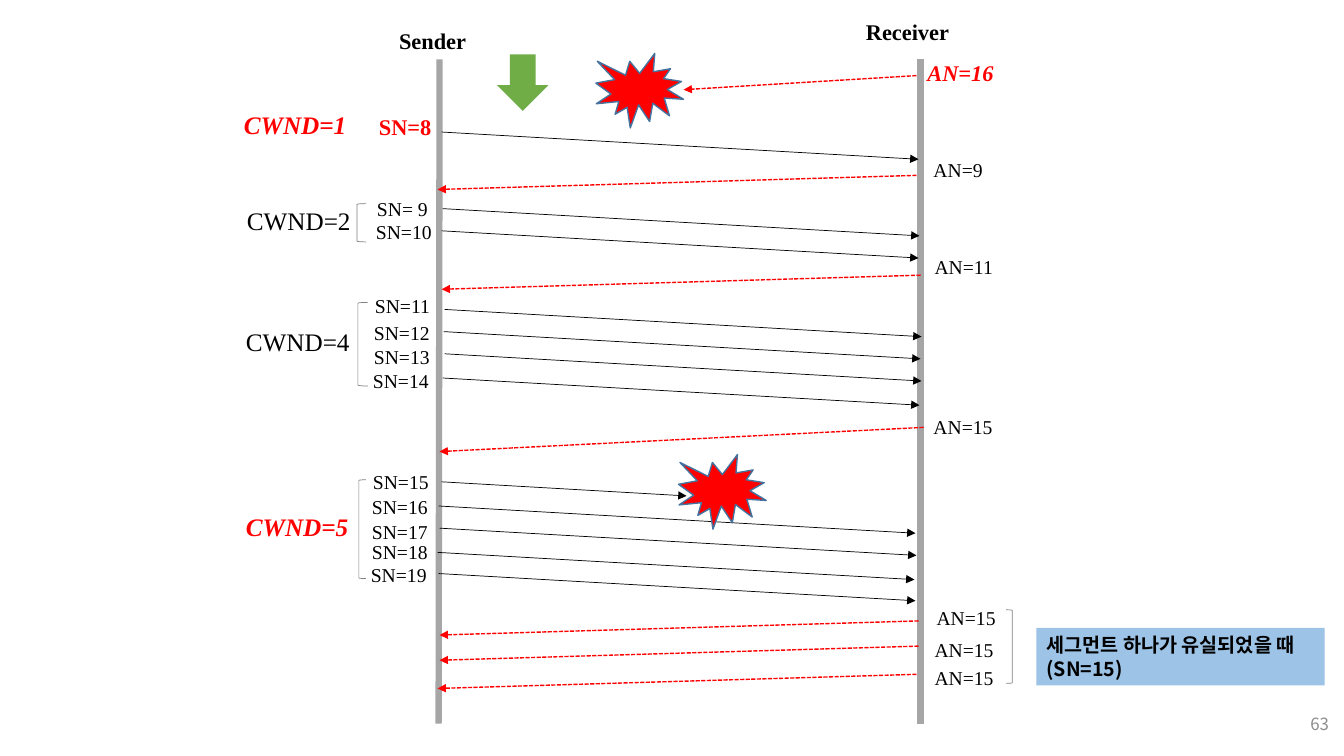
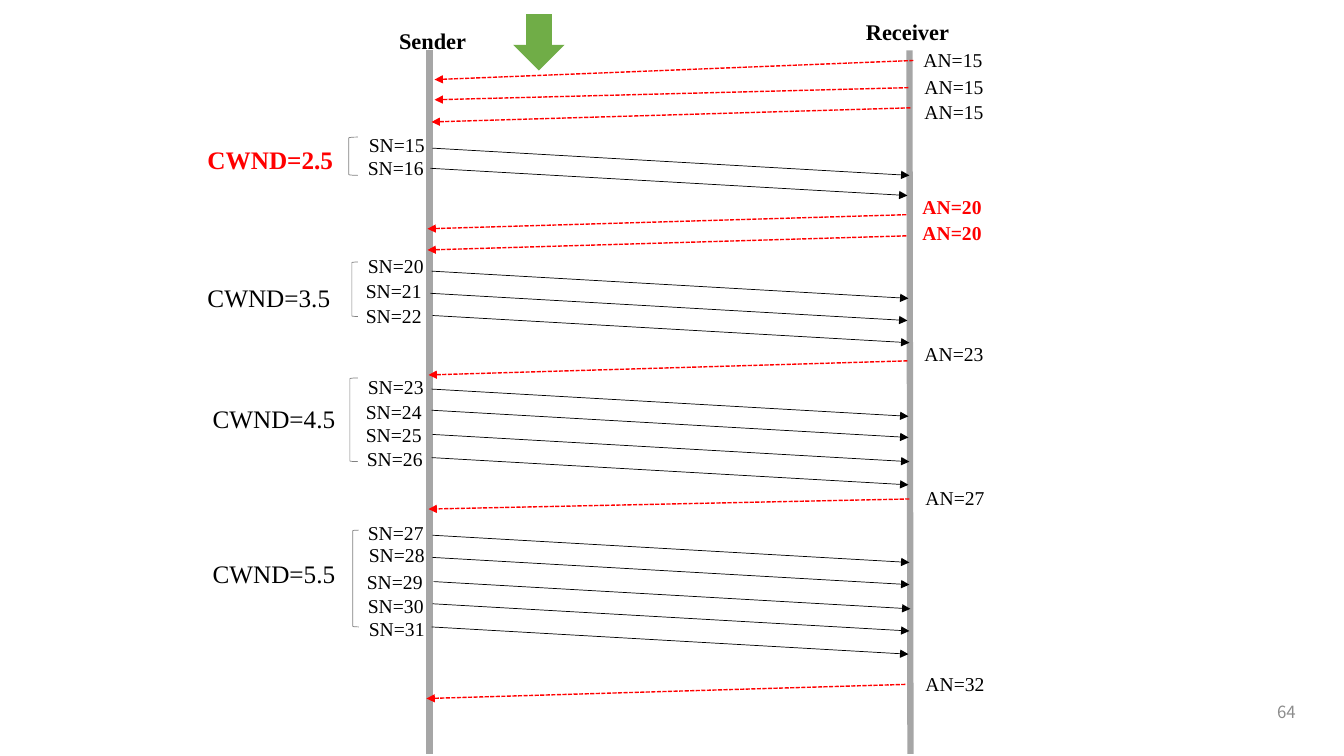
from lxml.etree import SubElement
from pptx import Presentation
from pptx.dml.color import RGBColor
from pptx.enum.dml import MSO_LINE_DASH_STYLE as DASH
from pptx.enum.shapes import MSO_CONNECTOR as CONN, MSO_SHAPE as SHAPE
from pptx.enum.text import MSO_ANCHOR as ANCHOR, PP_ALIGN as ALIGN
from pptx.oxml.ns import qn
from pptx.util import Emu, Pt

PX = 9144
COLORS = {
    "black": "000000", "red": "FF0000", "bar": "A6A6A6", "bracket": "808080",
    "green": "70AD47", "seal_edge": "43739E", "note": "9DC3E6", "number": "8C8C8C",
}
SERIF, SANS = "Times New Roman", "Noto Sans CJK KR"
STYLES = {
    "label": ("black", {"name": SERIF, "size": Pt(14)}),
    "label_red": ("red", {"name": SERIF, "size": Pt(14), "bold": True}),
    "title": ("black", {"name": SERIF, "size": Pt(16), "bold": True}),
    "send_red": ("red", {"name": SERIF, "size": Pt(16), "bold": True}),
    "ack_red": ("red", {"name": SERIF, "size": Pt(16), "bold": True, "italic": True}),
    "window": ("black", {"name": SERIF, "size": Pt(18)}),
    "window_red": ("red", {"name": SERIF, "size": Pt(18), "bold": True}),
    "window_alert": ("red", {"name": SERIF, "size": Pt(18), "bold": True, "italic": True}),
    "note": ("black", {"name": SANS, "size": Pt(14), "bold": True}),
    "number": ("number", {"name": SANS, "size": Pt(12)}),
}


def px(*values):
    return [Emu(v * PX) for v in values]


def rgb(name):
    return RGBColor.from_string(COLORS[name])


class Deck:
    def __init__(self):
        self.prs = Presentation()
        self.prs.slide_width, self.prs.slide_height = px(1333, 750)
        self.slide = None

    def new_slide(self, number, x, y, bars):
        self.slide = self.prs.slides.add_slide(self.prs.slide_layouts[6])
        tf = self.text(str(number), x, y, 300, 40, "number")
        tf.word_wrap = True
        tf.vertical_anchor = ANCHOR.MIDDLE
        tf.paragraphs[0].alignment = ALIGN.RIGHT
        for start, end in bars:
            self.line(start, end, "bar", 4.5)

    def titles(self):
        self.text("Sender", 386, 22, 93, 37, "title")
        self.text("Receiver", 849, 13, 109, 37, "title")

    def fill_text(self, tf, text, style):
        color, values = STYLES[style]
        tf.word_wrap = False
        for i, row in enumerate(text.split("\n")):
            p = tf.add_paragraph() if i else tf.paragraphs[0]
            p.alignment = ALIGN.LEFT
            r = p.add_run()
            r.text = row
            for name, value in values.items():
                setattr(r.font, name, value)
            r.font.color.rgb = rgb(color)
            SubElement(r.font._element, qn("a:ea"), typeface=values["name"])

    def text(self, text, x, y, w, h=34, style="label"):
        tf = self.slide.shapes.add_textbox(*px(x, y, w, h)).text_frame
        self.fill_text(tf, text, style)
        return tf

    def line(self, start, end, color, width, dash=None, arrow=False):
        sp = self.slide.shapes.add_connector(CONN.STRAIGHT, *px(*start, *end))
        sp.line.color.rgb = rgb(color)
        sp.line.width = Pt(width)
        if dash:
            sp.line.dash_style = dash
        if arrow:
            SubElement(sp.line._get_or_add_ln(), qn("a:tailEnd"), type="triangle")
        SubElement(sp._element.spPr, qn("a:effectLst"))

    def shape(self, kind, x, y, w, h, fill=None, edge=None, width=0.5):
        sp = self.slide.shapes.add_shape(kind, *px(x, y, w, h))
        sp.shadow.inherit = False
        if fill:
            sp.fill.solid()
            sp.fill.fore_color.rgb = rgb(fill)
        else:
            sp.fill.background()
        if edge:
            sp.line.color.rgb = rgb(edge)
            sp.line.width = Pt(width)
        else:
            sp.line.fill.background()
        return sp

    def send(self, text, x, y, x1, y1, end=None, w=76, h=34, style="label"):
        self.line((x1, y1), end or (x1 + 473, y1 + 27), "black", 0.5, arrow=True)
        self.text(text, x, y, w, h, style)

    def ack(self, text, x, y, x1, y1, end=None, w=79, h=34, style="label"):
        self.line((x1, y1), end or (x1 - 475, y1 + 14), "red", 1, DASH.SQUARE_DOT, True)
        self.text(text, x, y, w, h, style)

    def window(self, size, x, y, bracket=None, style="window"):
        self.text(f"CWND={size}", x, y, 150, 40, style)
        if bracket:
            self.bracket(SHAPE.LEFT_BRACKET, *bracket)

    def bracket(self, kind, x, y, w, h):
        self.shape(kind, x, y, w, h, edge="bracket")

    def loss(self, x, y):
        self.shape(SHAPE.EXPLOSION1, x, y, 87, 74, "red", "seal_edge", 1)

    def time_arrow(self, x, y):
        self.shape(SHAPE.DOWN_ARROW, x, y, 51, 56, "green")

    def note(self, text, x, y, w, h):
        tf = self.shape(SHAPE.RECTANGLE, x, y, w, h, "note").text_frame
        tf.vertical_anchor = ANCHOR.TOP
        self.fill_text(tf, text, "note")


def loss_slide(d):
    d.new_slide(63, 1028, 698, [((436, 59), (435, 718)), ((913, 59), (913, 718))])
    d.titles()
    d.time_arrow(493, 54)

    d.window(1, 232, 104, style="window_alert")
    d.window(2, 235, 199, (354, 202, 9, 38))
    d.window(4, 234, 319, (355, 300, 10, 83))
    d.window(5, 234, 502, (356, 476, 7, 98), "window_alert")

    d.send("SN=8", 366, 107, 438, 131, w=80, h=37, style="send_red")
    d.send("SN= 9", 364, 190, 439, 207)
    d.send("SN=15", 360, 461, 438, 478, end=(681, 492))
    for n, *place in [
        (10, 363, 213, 438, 229),
        (11, 362, 287, 441, 307),
        (12, 361, 313, 440, 329),
        (13, 361, 337, 441, 351),
        (14, 360, 361, 439, 375),
        (16, 359, 486, 435, 502),
        (17, 359, 511, 436, 524),
        (18, 359, 531, 434, 548),
        (19, 358, 554, 435, 569),
    ]:
        d.send(f"SN={n}", *place)

    d.ack("AN=16", 910, 54, 909, 75, end=(678, 89), w=95, h=37, style="ack_red")
    d.ack("AN=9", 916, 152, 909, 174)
    d.ack("AN=15", 916, 407, 916, 424, end=(436, 448))
    for n, *place in [
        (11, 917, 248, 913, 273),
        (15, 919, 596, 911, 616),
        (15, 917, 628, 911, 641),
        (15, 917, 656, 909, 669),
    ]:
        d.ack(f"AN={n}", *place)

    d.loss(591, 53)
    d.loss(673, 451)
    d.bracket(SHAPE.RIGHT_BRACKET, 998, 605, 6, 73)
    d.note("세그먼트 하나가 유실되었을 때\n(SN=15)", 1028, 623, 286, 57)


def recovery_slide(d):
    d.new_slide(64, 995, 686, [((426, 50), (426, 748)), ((902, 50), (903, 748))])
    d.titles()
    d.time_arrow(509, 14)

    d.window(2.5, 196, 138, (346, 136, 9, 38), "window_red")
    d.window(3.5, 196, 275, (349, 260, 6, 54))
    d.window(4.5, 201, 395, (347, 375, 8, 83))
    d.window(5.5, 201, 549, (350, 526, 6, 96))

    for n, *place in [
        (15, 356, 127, 429, 147),
        (16, 355, 150, 427, 167),
        (20, 355, 247, 428, 269),
        (21, 353, 272, 427, 291),
        (22, 353, 297, 429, 313),
        (23, 355, 367, 428, 386),
        (24, 353, 392, 428, 407),
        (25, 353, 415, 429, 431),
        (26, 354, 438, 428, 454),
        (27, 355, 512, 429, 531),
        (28, 356, 534, 429, 553),
        (29, 354, 560, 430, 577),
        (30, 355, 584, 429, 599),
        (31, 356, 607, 428, 622),
    ]:
        d.send(f"SN={n}", *place)

    d.ack("AN=15", 906, 43, 906, 60, end=(431, 79))
    d.ack("AN=15", 907, 69, 901, 87, end=(431, 99))
    d.ack("AN=27", 908, 477, 902, 495, end=(425, 505))
    for n, *place in [
        (15, 907, 94, 903, 107),
        (23, 907, 334, 900, 358),
        (32, 908, 662, 898, 679),
    ]:
        d.ack(f"AN={n}", *place)
    for y, y1 in [(188, 213), (214, 234)]:
        d.ack("AN=20", 905, y, 899, y1, style="label_red")


def main():
    d = Deck()
    loss_slide(d)
    recovery_slide(d)
    d.prs.save("out.pptx")


if __name__ == "__main__":
    main()
